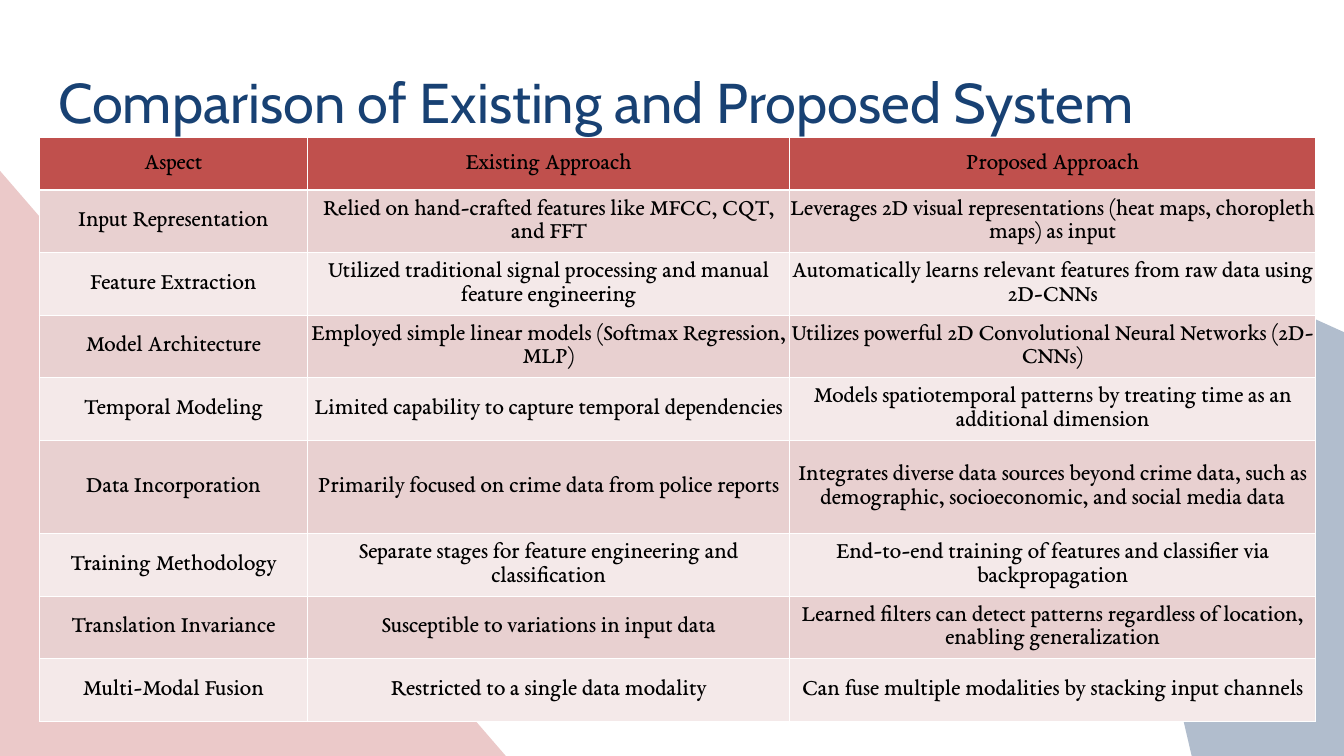
"""Build a slide that compares an existing system with a proposed one in a table."""
from lxml.etree import SubElement
from pptx import Presentation
from pptx.dml.color import RGBColor
from pptx.enum.text import MSO_ANCHOR, MSO_AUTO_SIZE, PP_ALIGN
from pptx.oxml.ns import qn
from pptx.util import Inches, Pt

WHITE = RGBColor(0xFF, 0xFF, 0xFF)
BLACK = RGBColor(0x00, 0x00, 0x00)
ROSE = RGBColor(0xC2, 0x59, 0x59)
NAVY = RGBColor(0x15, 0x39, 0x69)
TITLE_BLUE = RGBColor(0x18, 0x41, 0x73)
HEADER_RED = RGBColor(0xC0, 0x50, 0x4D)
BANDS = RGBColor(0xF4, 0xE9, 0xE9), RGBColor(0xE8, 0xD0, 0xD0)

COLUMN_WIDTHS = 4, 7.17, 7.83
HEADER_HEIGHT, ROW_HEIGHT, TALL_HEIGHT = 0.79, 0.93, 1.39
TALL_ROW = 5
ROWS = [
    ("Aspect", "Existing Approach", "Proposed Approach"),
    ("Input Representation",
     "Relied on hand-crafted features like MFCC, CQT, and FFT",
     "Leverages 2D visual representations (heat maps, choropleth maps) as input"),
    ("Feature Extraction",
     "Utilized traditional signal processing and manual feature engineering",
     "Automatically learns relevant features from raw data using 2D-CNNs"),
    ("Model Architecture",
     "Employed simple linear models (Softmax Regression, MLP)",
     "Utilizes powerful 2D Convolutional Neural Networks (2D-CNNs)"),
    ("Temporal Modeling",
     "Limited capability to capture temporal dependencies",
     "Models spatiotemporal patterns by treating time as an additional dimension"),
    ("Data Incorporation",
     "Primarily focused on crime data from police reports",
     "Integrates diverse data sources beyond crime data, such as demographic, "
     "socioeconomic, and social media data"),
    ("Training Methodology",
     "Separate stages for feature engineering and classification",
     "End-to-end training of features and classifier via backpropagation"),
    ("Translation Invariance",
     "Susceptible to variations in input data",
     "Learned filters can detect patterns regardless of location, enabling generalization"),
    ("Multi-Modal Fusion",
     "Restricted to a single data modality",
     "Can fuse multiple modalities by stacking input channels"),
]


def style_font(paragraph, name, size, color):
    """Give every run of a paragraph its font."""
    for run in paragraph.runs:
        run.font.name = name
        run.font.size = Pt(size)
        run.font.bold = False
        run.font.color.rgb = color


def add_triangle(slide, left, top, width, height, rotation, color, opacity, apex_down=False):
    """Draw a rotated, see-through isosceles triangle that fills its box."""
    apex, base = (top + height, top) if apex_down else (top, top + height)
    corners = [(left + width / 2, apex), (left + width, base), (left, base)]
    points = [(Inches(x), Inches(y)) for x, y in corners]
    builder = slide.shapes.build_freeform(*points[0])
    builder.add_line_segments(points[1:], close=True)
    shape = builder.convert_to_shape()
    shape.rotation = rotation
    shape.shadow.inherit = False
    shape.line.fill.background()
    shape.fill.solid()
    shape.fill.fore_color.rgb = color
    for element in shape.fill._xPr.iter(qn("a:srgbClr")):
        SubElement(element, qn("a:alpha"), val=str(opacity * 1000))


def add_title(slide, text):
    """Place the slide title."""
    box = slide.shapes.add_textbox(Inches(0.87), Inches(0.54), Inches(20), Inches(1.31))
    frame = box.text_frame
    frame.word_wrap = True
    frame.auto_size = MSO_AUTO_SIZE.SHAPE_TO_FIT_TEXT
    frame.margin_left = frame.margin_right = frame.margin_top = frame.margin_bottom = 0
    frame.text = text
    paragraph = frame.paragraphs[0]
    paragraph.line_spacing = Pt(105)
    style_font(paragraph, "Cabin", 60, TITLE_BLUE)


def set_borders(cell, top, bottom):
    """Draw white cell borders, with the given top and bottom widths."""
    properties = cell._tc.get_or_add_tcPr()
    for side, width in (("L", 1), ("R", 1), ("T", top), ("B", bottom)):
        line = SubElement(properties, qn(f"a:ln{side}"), w=str(Pt(width)))
        fill = SubElement(line, qn("a:solidFill"))
        SubElement(fill, qn("a:srgbClr"), val=str(WHITE))


def fill_cell(cell, text, row):
    """Write and style one table cell according to its row."""
    set_borders(cell, top=3 if row == 1 else 1, bottom=3 if row == 0 else 1)
    cell.fill.solid()
    cell.fill.fore_color.rgb = BANDS[row % 2] if row else HEADER_RED
    cell.vertical_anchor = MSO_ANCHOR.MIDDLE
    cell.margin_left = cell.margin_right = cell.margin_top = Inches(0.01)
    cell.margin_bottom = 0
    cell.text_frame.text = text
    paragraph = cell.text_frame.paragraphs[0]
    paragraph.alignment = PP_ALIGN.CENTER
    style_font(paragraph, "EB Garamond", 25, BLACK)


def add_comparison(slide):
    """Add the comparison table."""
    heights = [HEADER_HEIGHT] + [ROW_HEIGHT] * (len(ROWS) - 1)
    heights[TALL_ROW] = TALL_HEIGHT
    table = slide.shapes.add_table(
        len(ROWS), len(COLUMN_WIDTHS), Inches(0.58), Inches(2.04),
        Inches(sum(COLUMN_WIDTHS)), Inches(sum(heights))).table
    for column, width in zip(table.columns, COLUMN_WIDTHS):
        column.width = Inches(width)
    for row, (texts, height) in enumerate(zip(ROWS, heights)):
        table.rows[row].height = Inches(height)
        for column, text in enumerate(texts):
            fill_cell(table.cell(row, column), text, row)


def main():
    """Build and save the presentation."""
    presentation = Presentation()
    presentation.slide_width = Inches(20)
    presentation.slide_height = Inches(11.25)
    slide = presentation.slides.add_slide(presentation.slide_layouts[6])
    slide.background.fill.solid()
    slide.background.fill.fore_color.rgb = WHITE
    add_triangle(slide, -7.61, 0.93, 15.21, 13.31, 348.9, ROSE, 32)
    add_triangle(slide, 13.87, 1.8, 10.94, 11.07, 140.6, NAVY, 33, apex_down=True)
    add_title(slide, "Comparison of Existing and Proposed System")
    add_comparison(slide)
    presentation.save("out.pptx")


if __name__ == "__main__":
    main()
